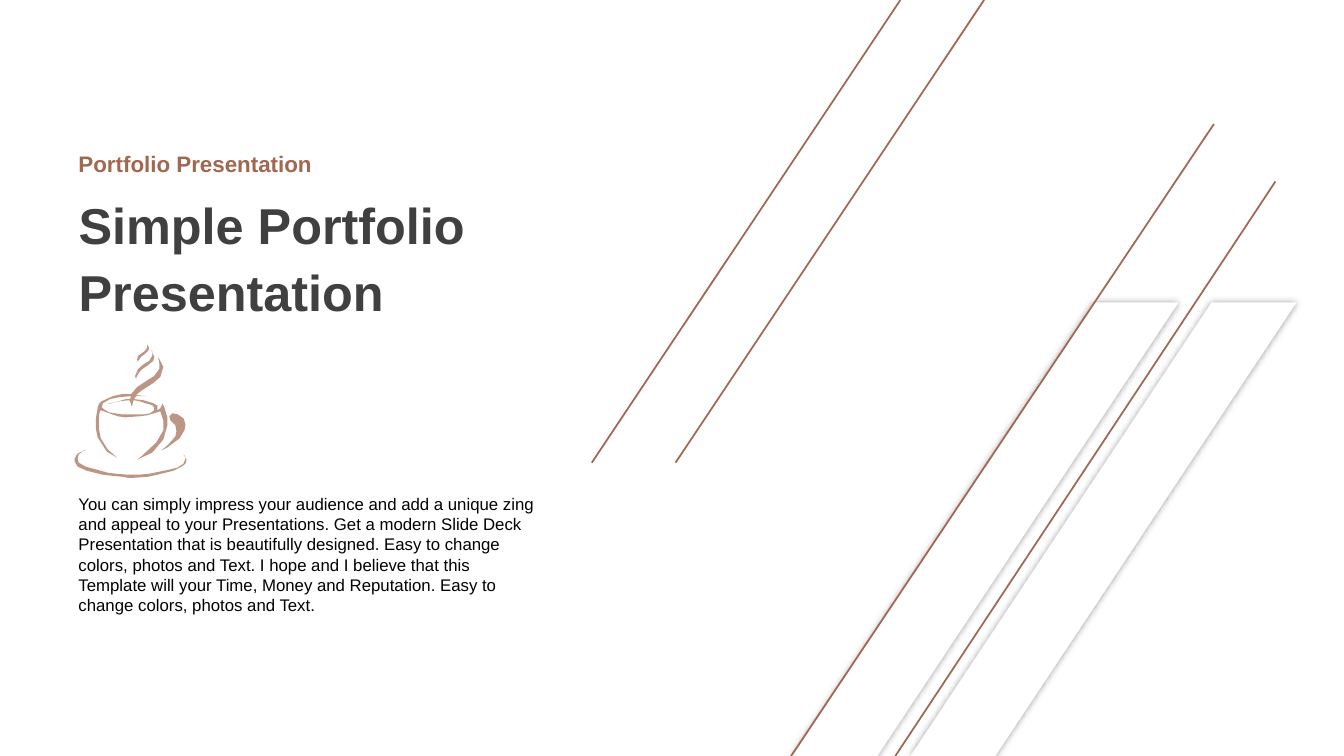
from dataclasses import dataclass

import lxml.etree
import pptx
import pptx.dml.color
import pptx.enum.shapes
import pptx.enum.text
import pptx.oxml.ns
import pptx.shapes.autoshape
import pptx.shapes.group
import pptx.slide
import pptx.util

PX = 9144
SLIDE_SIZE = (1333, 750)
FONT = "Arial"
BROWN = pptx.dml.color.RGBColor(0xA0, 0x68, 0x50)
GRAY = pptx.dml.color.RGBColor(0x40, 0x40, 0x40)
BLACK = pptx.dml.color.RGBColor(0, 0, 0)
WHITE = pptx.dml.color.RGBColor(0xFF, 0xFF, 0xFF)

Point = tuple[int, int]
Contour = list[Point]


@dataclass(frozen=True)
class TextBlock:
    text: str
    box: tuple[int, int, int, int]
    size: int
    color: pptx.dml.color.RGBColor
    bold: bool = True
    anchor: pptx.enum.text.MSO_ANCHOR = pptx.enum.text.MSO_ANCHOR.MIDDLE
    line_spacing: float = 1.0
    space_before: float = 0


@dataclass(frozen=True)
class Diagonal:
    top: Point
    bottom: Point


TITLE = TextBlock("Simple Portfolio Presentation", (68, 187, 414, 132), 36, GRAY,
                  line_spacing=1.1, space_before=7.2)
TEXT_BOXES = [
    TextBlock("Portfolio Presentation", (68, 141, 339, 43), 16, BROWN, space_before=3.2),
    TextBlock(
        "You can simply impress your audience and add a unique zing and appeal to your "
        "Presentations. Get a modern Slide Deck Presentation that is beautifully designed. "
        "Easy to change colors, photos and Text. I hope and I believe that this Template "
        "will your Time, Money and Reputation. Easy to change colors, photos and Text.",
        (68, 485, 475, 131), 12, BLACK, bold=False, anchor=pptx.enum.text.MSO_ANCHOR.TOP),
]
BAND_LEFTS = [786, 903]
DIAGONALS = [
    Diagonal((976, 0), (670, 459)),
    Diagonal((893, 0), (587, 459)),
    Diagonal((1265, 180), (888, 750)),
    Diagonal((1204, 123), (784, 751)),
]

SAUCER: Contour = [
    (74, 456), (74, 455), (77, 450), (86, 446), (83, 447), (78, 451), (77, 455), (78, 459),
    (85, 463), (96, 466), (107, 469), (115, 470), (127, 471), (138, 471), (148, 470),
    (163, 467), (176, 464), (182, 460), (184, 455), (183, 452), (182, 451), (185, 456),
    (184, 460), (180, 463), (172, 467), (156, 471), (147, 473), (133, 474), (127, 474),
    (121, 473), (111, 472), (102, 471), (86, 467), (77, 463), (74, 458),
]
CUP: Contour = [
    (157, 354), (162, 364), (159, 374), (152, 380), (141, 387), (136, 391), (135, 392),
    (145, 393), (135, 393), (133, 396), (142, 397), (152, 400), (155, 402), (156, 402),
    (156, 407), (155, 408), (159, 405), (161, 401), (161, 400), (163, 404), (166, 414),
    (166, 422), (162, 436), (151, 449), (138, 455), (136, 456), (140, 453), (155, 439),
    (162, 427), (162, 417), (159, 408), (156, 409), (146, 412), (138, 413), (124, 414),
    (117, 413), (100, 407), (99, 408), (98, 415), (98, 425), (100, 435), (107, 446),
    (116, 454), (106, 448), (97, 434), (95, 425), (95, 416), (97, 404), (98, 401),
    (101, 398), (112, 393), (121, 391), (130, 391), (136, 384), (145, 378), (153, 373),
    (158, 366), (158, 360),
]
RIM: Contour = [
    (130, 393), (118, 394), (109, 396), (102, 400), (101, 404), (103, 406), (108, 409),
    (120, 411), (128, 411), (144, 411), (149, 410), (153, 407), (153, 404), (151, 402),
    (138, 398), (133, 397), (132, 398), (131, 403), (131, 404), (129, 398), (128, 397),
    (119, 398), (109, 400), (107, 401), (125, 396), (129, 396),
]
HANDLE: Contour = [
    (160, 447), (167, 441), (174, 433), (175, 428), (174, 422), (170, 418), (169, 417),
    (168, 413), (171, 410), (176, 411), (182, 415), (184, 421), (183, 427), (178, 435),
    (166, 444),
]
MIDDLE_STEAM: Contour = [
    (150, 347), (153, 354), (152, 358), (147, 362), (140, 367), (137, 371), (135, 375),
    (135, 376), (134, 373), (137, 366), (143, 361), (148, 358), (151, 353), (151, 349),
]
TOP_STEAM: Contour = [
    (146, 342), (148, 345), (147, 348), (144, 351), (140, 354), (137, 358), (137, 359),
    (136, 357), (137, 353), (140, 351), (144, 348), (146, 345),
]
COFFEE_PARTS: list[list[Contour]] = [
    [SAUCER], [CUP, RIM], [HANDLE], [MIDDLE_STEAM], [TOP_STEAM],
]


def emu(*lengths: int) -> list[int]:
    return [length * PX for length in lengths]


def add_element(parent: lxml.etree._Element, tag: str, **attributes: str) -> lxml.etree._Element:
    return lxml.etree.SubElement(parent, pptx.oxml.ns.qn(tag), attributes)


def write_text(shape: pptx.shapes.autoshape.Shape, block: TextBlock) -> None:
    shape.left, shape.top, shape.width, shape.height = emu(*block.box)
    frame = shape.text_frame
    frame.text = block.text
    frame.word_wrap = True
    frame.auto_size = pptx.enum.text.MSO_AUTO_SIZE.NONE
    frame.vertical_anchor = block.anchor
    paragraph = frame.paragraphs[0]
    paragraph.alignment = pptx.enum.text.PP_ALIGN.LEFT
    paragraph.line_spacing = block.line_spacing
    paragraph.space_before = pptx.util.Pt(block.space_before)
    paragraph.font.name = FONT
    paragraph.font.size = pptx.util.Pt(block.size)
    paragraph.font.bold = block.bold
    paragraph.font.color.rgb = block.color


def paint(shape: pptx.shapes.autoshape.Shape, color: pptx.dml.color.RGBColor) -> None:
    shape.fill.solid()
    shape.fill.fore_color.rgb = color
    shape.line.fill.background()
    shape.shadow.inherit = False


def add_band(slide: pptx.slide.Slide, left: int) -> None:
    band = slide.shapes.add_shape(
        pptx.enum.shapes.MSO_SHAPE.PARALLELOGRAM, *emu(left, 300, 383, 450))
    band.adjustments[0] = 0.78
    paint(band, WHITE)
    effects = band._element.spPr.find(pptx.oxml.ns.qn("a:effectLst"))
    shadow = add_element(effects, "a:outerShdw", blurRad=str(pptx.util.Pt(5)),
                         dist="0", dir="0", algn="ctr", rotWithShape="0")
    color = add_element(shadow, "a:srgbClr", val=str(BLACK))
    add_element(color, "a:alpha", val="40000")


def add_diagonal(slide: pptx.slide.Slide, diagonal: Diagonal) -> None:
    connector = slide.shapes.add_connector(
        pptx.enum.shapes.MSO_CONNECTOR.STRAIGHT, *emu(*diagonal.top, *diagonal.bottom))
    connector.line.color.rgb = BROWN
    connector.line.width = pptx.util.Pt(1.25)
    add_element(connector._element.spPr, "a:effectLst")


def add_coffee_part(group: pptx.shapes.group.GroupShape, contours: list[Contour]) -> None:
    outline, *holes = contours
    builder = group.shapes.build_freeform(*outline[0], scale=PX)
    builder.add_line_segments(outline[1:], close=True)
    for hole in holes:
        builder.move_to(*hole[0])
        builder.add_line_segments(hole[1:], close=True)
    shape = builder.convert_to_shape()
    paint(shape, BROWN)
    color = shape._element.spPr.find(".//" + pptx.oxml.ns.qn("a:srgbClr"))
    add_element(color, "a:alpha", val="70000")


def main() -> None:
    presentation = pptx.Presentation()
    presentation.slide_width, presentation.slide_height = emu(*SLIDE_SIZE)
    slide = presentation.slides.add_slide(presentation.slide_layouts.get_by_name("Title Only"))
    for left in BAND_LEFTS:
        add_band(slide, left)
    for diagonal in DIAGONALS:
        add_diagonal(slide, diagonal)
    write_text(slide.shapes.title, TITLE)
    for block in TEXT_BOXES:
        write_text(slide.shapes.add_textbox(*emu(*block.box)), block)
    coffee = slide.shapes.add_group_shape()
    for contours in COFFEE_PARTS:
        add_coffee_part(coffee, contours)
    presentation.save("out.pptx")


if __name__ == "__main__":
    main()
